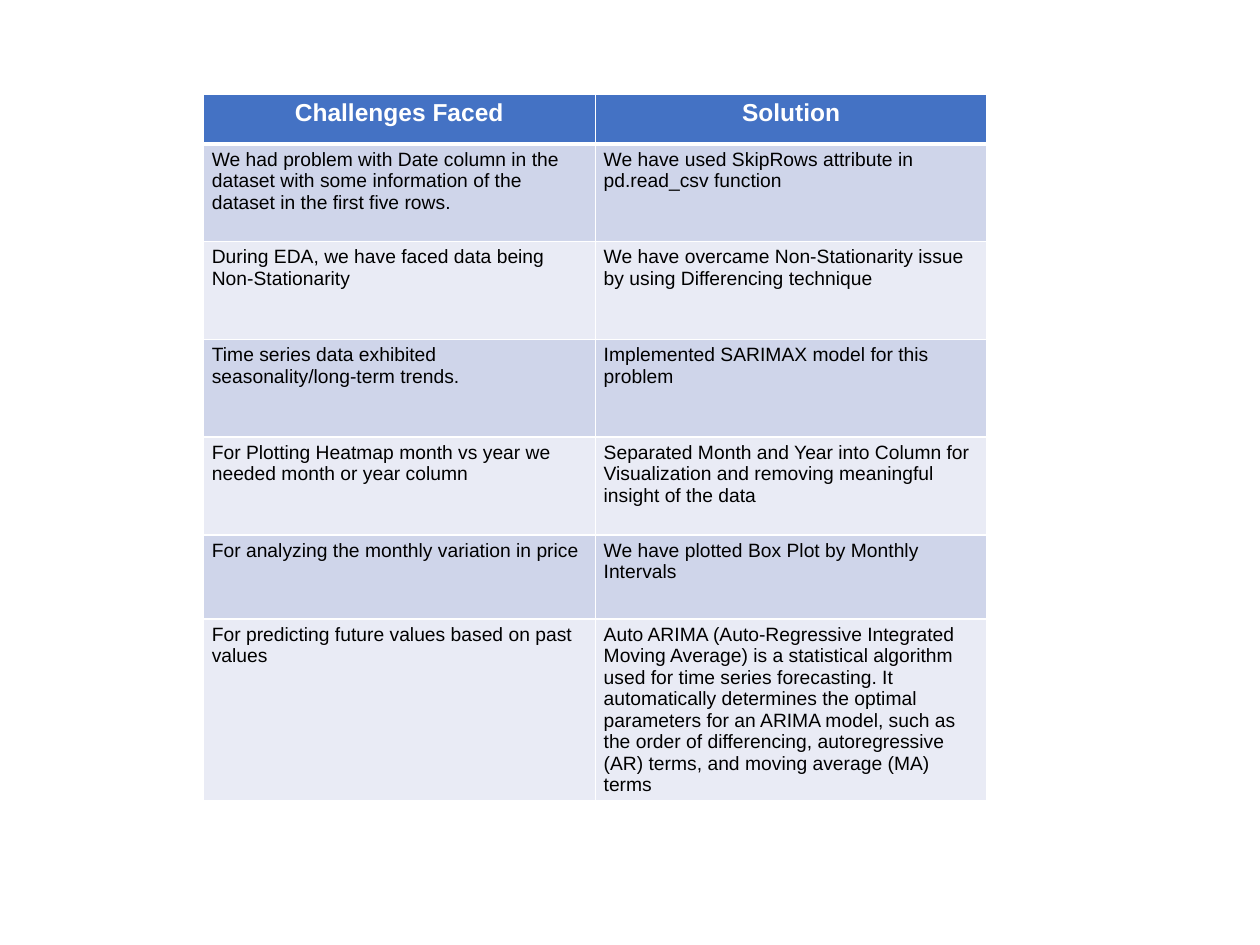
from dataclasses import dataclass

from lxml import etree
from pptx import Presentation
from pptx import util as u
from pptx.dml.color import RGBColor
from pptx.enum import text
from pptx.oxml.ns import qn


@dataclass(frozen=True)
class Theme:
    font: str = "Arial"
    header_fill: str = "4472C4"
    header_text: str = "FFFFFF"
    body_text: str = "000000"
    bands: tuple = ("CFD5EA", "E9EBF5")
    border: str = "FFFFFF"
    header_size: int = 14
    body_size: int = 11
    thin: int = 1
    thick: int = 3


class SlideBuilder:
    def __init__(self, slide, theme):
        self.slide = slide
        self.theme = theme

    def table(self, rows, left, top, widths, heights):
        frame = self.slide.shapes.add_table(
            len(rows), len(widths), u.Cm(left), u.Cm(top),
            u.Cm(sum(widths)), u.Cm(sum(heights)))
        table = frame.table
        for column, width in zip(table.columns, widths):
            column.width = u.Cm(width)
        for row, height in zip(table.rows, heights):
            row.height = u.Cm(height)
        for row_index, words in enumerate(rows):
            for column_index, wording in enumerate(words):
                self.cell(table.cell(row_index, column_index), wording, row_index)

    def cell(self, cell, wording, row_index):
        theme = self.theme
        is_header = row_index == 0
        cell.margin_left = cell.margin_right = u.Cm(0.17)
        cell.margin_top = cell.margin_bottom = u.Cm(0.1)
        self.borders(cell, row_index)
        fill = theme.header_fill if is_header else theme.bands[(row_index - 1) % 2]
        cell.fill.solid()
        cell.fill.fore_color.rgb = RGBColor.from_string(fill)
        cell.text_frame.text = wording
        para = cell.text_frame.paragraphs[0]
        para.alignment = text.PP_ALIGN.CENTER if is_header else text.PP_ALIGN.LEFT
        font = para.runs[0].font
        font.name = theme.font
        font.bold = is_header
        font.size = u.Pt(theme.header_size if is_header else theme.body_size)
        font.color.rgb = RGBColor.from_string(
            theme.header_text if is_header else theme.body_text)

    def borders(self, cell, row_index):
        theme = self.theme
        properties = cell._tc.get_or_add_tcPr()
        for side in ("lnL", "lnR", "lnT", "lnB"):
            under_header = (row_index, side) in ((0, "lnB"), (1, "lnT"))
            width = u.Pt(theme.thick if under_header else theme.thin)
            line = etree.SubElement(properties, qn(f"a:{side}"), w=str(width))
            fill = etree.SubElement(line, qn("a:solidFill"))
            etree.SubElement(fill, qn("a:srgbClr"), val=theme.border)


ROWS = [
    ("Challenges Faced", "Solution"),
    ("We had problem with Date column in the dataset with some information "
     "of the dataset in the first five rows.",
     "We have used SkipRows attribute in pd.read_csv function"),
    ("During EDA, we have faced data being Non-Stationarity",
     "We have overcame Non-Stationarity issue by using Differencing technique"),
    ("Time series data exhibited seasonality/long-term trends.",
     "Implemented SARIMAX model for this problem"),
    ("For Plotting Heatmap month vs year we needed month or year column",
     "Separated Month and Year into Column for Visualization and removing "
     "meaningful insight of the data"),
    ("For analyzing the monthly variation in price",
     "We have plotted Box Plot by Monthly Intervals"),
    ("For predicting future values based on past values",
     "Auto ARIMA (Auto-Regressive Integrated Moving Average) is a statistical "
     "algorithm used for time series forecasting. It automatically determines "
     "the optimal parameters for an ARIMA model, such as the order of "
     "differencing, autoregressive (AR) terms, and moving average (MA) terms"),
]


def main():
    deck = Presentation()
    deck.slide_width = u.Cm(25.4)
    deck.slide_height = u.Cm(19.05)
    page = deck.slides.add_slide(deck.slide_layouts[6])
    builder = SlideBuilder(page, Theme())
    builder.table(ROWS, left=4.1, top=1.91, widths=[7.9] * 2,
                  heights=[0.99] + [1.97] * 4 + [1.7, 3.3])
    deck.save("out.pptx")


if __name__ == "__main__":
    main()
